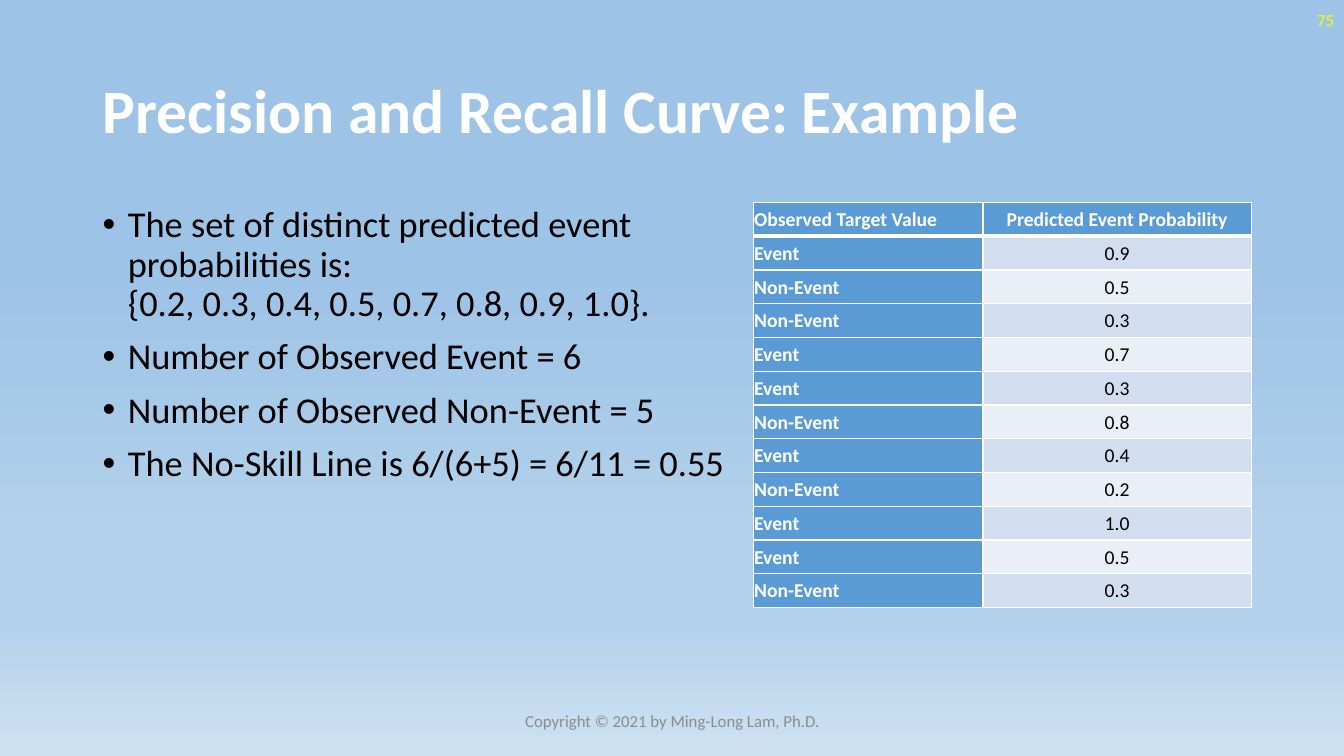
from lxml.etree import SubElement
from pptx import Presentation
from pptx.dml.color import RGBColor
from pptx.enum.text import MSO_ANCHOR as Anchor, MSO_AUTO_SIZE as AutoSize, PP_ALIGN as Align
from pptx.oxml import parse_xml
from pptx.oxml.ns import nsdecls, qn
from pptx.util import Emu, Pt

EMU_PER_PX = 9144
WHITE, BLACK, BLUE = "FFFFFF", "000000", "5B9BD5"
BANDS = ("D2DEEF", "EAEFF7")
BACKGROUND = ((35, "9DC3E6"), (74, "B5D2EC"), (83, "B5D2EC"), (100, "CEE1F2"))
HEADER = ("Observed Target Value", "Predicted Event Probability")
OBSERVATIONS = (
    ("Event", "0.9"), ("Non-Event", "0.5"), ("Non-Event", "0.3"), ("Event", "0.7"),
    ("Event", "0.3"), ("Non-Event", "0.8"), ("Event", "0.4"), ("Non-Event", "0.2"),
    ("Event", "1.0"), ("Event", "0.5"), ("Non-Event", "0.3"),
)
POINTS = (
    ("The set of distinct predicted event probabilities is:",
     "{0.2, 0.3, 0.4, 0.5, 0.7, 0.8, 0.9, 1.0}."),
    ("Number of Observed Event = 6",),
    ("Number of Observed Non-Event = 5",),
    ("The No-Skill Line is 6/(6+5) = 6/11 = 0.55",),
)


def px(length):
    return Emu(length * EMU_PER_PX)


def color(value):
    return RGBColor.from_string(value)


class SlideBuilder:
    font = "Calibri"

    def __init__(self, deck):
        self.page = deck.slides.add_slide(deck.slide_layouts[5])

    def background(self, stops):
        fill = self.page.background.fill
        fill.gradient()
        fill.gradient_angle = 270
        stop_list = self.page.element.find(".//" + qn("a:gsLst"))
        for old_stop in list(stop_list):
            stop_list.remove(old_stop)
        for position, value in stops:
            stop = SubElement(stop_list, qn("a:gs"), pos=str(position * 1000))
            SubElement(stop, qn("a:srgbClr"), val=value)

    def add_span(self, para, text, size, value, bold=False):
        span = para.add_run()
        span.text = text
        span.font.name = self.font
        span.font.size = Pt(size)
        span.font.bold = bold
        span.font.color.rgb = color(value)

    def frame(self, box, anchor):
        frame = box.text_frame
        frame.word_wrap = True
        frame.auto_size = AutoSize.NONE
        frame.vertical_anchor = anchor
        return frame

    def title(self, text, left, top, width, height):
        box = self.page.shapes.title
        box.left, box.top, box.width, box.height = map(px, (left, top, width, height))
        para = self.frame(box, Anchor.MIDDLE).paragraphs[0]
        para.alignment = Align.LEFT
        para.line_spacing = 0.9
        self.add_span(para, text, 44, WHITE, True)

    def text_box(self, left, top, width, height, anchor=Anchor.MIDDLE):
        box = self.page.shapes.add_textbox(*map(px, (left, top, width, height)))
        return self.frame(box, anchor)

    def label(self, text, area, value, align):
        para = self.text_box(*area).paragraphs[0]
        para.alignment = align
        self.add_span(para, text, 12, value)

    def bullets(self, points, area):
        frame = self.text_box(*area, anchor=Anchor.TOP)
        for index, lines in enumerate(points):
            para = frame.add_paragraph() if index else frame.paragraphs[0]
            properties = para._p.get_or_add_pPr()
            properties.set("marL", str(px(25)))
            properties.set("indent", str(px(-25)))
            SubElement(properties, qn("a:buFont"), typeface="Arial")
            SubElement(properties, qn("a:buChar"), char="•")
            para.line_spacing = 0.9
            para.space_before = Pt(10 if index else 0)
            for number, line in enumerate(lines):
                if number:
                    para.add_line_break()
                self.add_span(para, line, 26, BLACK)

    def cell(self, cell, text, align, fill, value, bold, bottom):
        cell.margin_left = cell.margin_right = cell.margin_top = px(1)
        cell.margin_bottom = 0
        cell.vertical_anchor = Anchor.MIDDLE
        cell.fill.solid()
        cell.fill.fore_color.rgb = color(fill)
        sides = (("lnL", 1), ("lnR", 1), ("lnT", 1), ("lnB", bottom))
        for index, (side, points) in enumerate(sides):
            border = parse_xml(
                f'<a:{side} {nsdecls("a")} w="{Pt(points)}"><a:solidFill>'
                f'<a:srgbClr val="{WHITE}"/></a:solidFill></a:{side}>'
            )
            cell._tc.get_or_add_tcPr().insert(index, border)
        para = cell.text_frame.paragraphs[0]
        para.alignment = align
        self.add_span(para, text, 14, value, bold)

    def table(self, rows, widths, left, top, height):
        area = map(px, (left, top, sum(widths), height))
        grid = self.page.shapes.add_table(len(rows), len(widths), *area).table
        grid.first_col = True
        for column, width in zip(grid.columns, widths):
            column.width = px(width)
        for row, texts in enumerate(rows):
            for column, text in enumerate(texts):
                heading = row == 0 or column == 0
                self.cell(
                    grid.cell(row, column), text,
                    Align.CENTER if column else Align.LEFT,
                    BLUE if heading else BANDS[(row - 1) % 2],
                    WHITE if heading else BLACK,
                    heading, 1 if row else 3,
                )


def main():
    deck = Presentation()
    deck.slide_width, deck.slide_height = px(1333), px(750)
    slide = SlideBuilder(deck)
    slide.background(BACKGROUND)
    slide.title("Precision and Recall Curve: Example", 92, 40, 1150, 145)
    slide.bullets(POINTS, (92, 200, 707, 476))
    slide.label("75", (1033, 0, 300, 40), "FFFF00", Align.RIGHT)
    slide.table((HEADER, *OBSERVATIONS), (228, 266), 747, 201, 402)
    slide.label("Copyright © 2021 by Ming-Long Lam, Ph.D.", (442, 695, 450, 40), "8C8C8C", Align.CENTER)
    deck.save("out.pptx")


if __name__ == "__main__":
    main()
